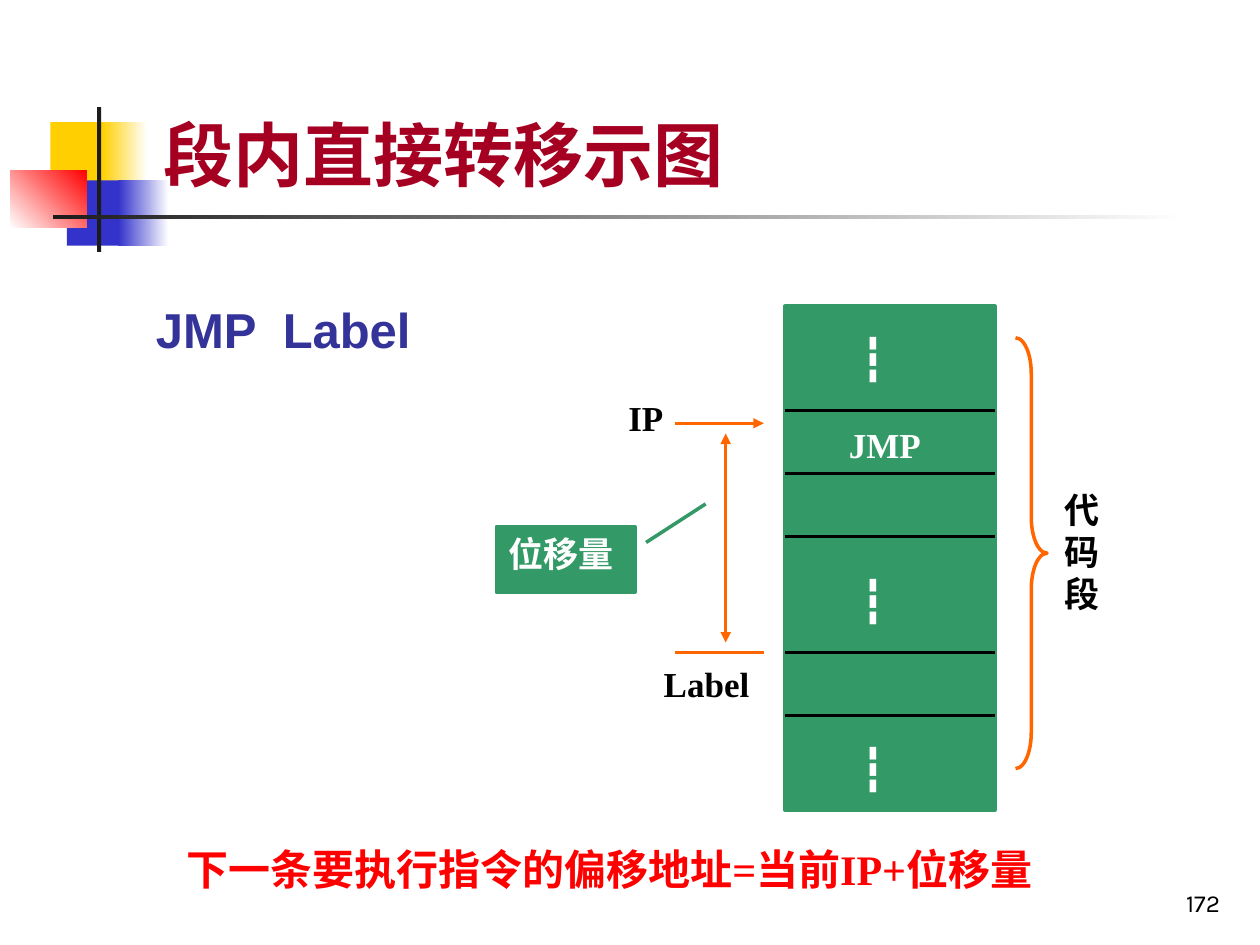
from lxml.etree import SubElement
from pptx import Presentation
from pptx.dml.color import RGBColor
from pptx.enum.shapes import MSO_CONNECTOR, MSO_SHAPE
from pptx.enum.text import MSO_ANCHOR, PP_ALIGN
from pptx.oxml.ns import qn
from pptx.util import Pt

SERIF, CJK = "Times New Roman", "Noto Sans CJK SC"
GREEN, ORANGE, BLACK, WHITE = "339966", "FF6600", "000000", "FFFFFF"
YELLOW, BLUE, RED, DARK = "FFCF01", "3333CC", "FF0000", "1C1C1C"

# left, top, width, height, colours (two make a gradient), angle
ORNAMENTS = [
    (28.8, 69.8, 34.6, 37.4, [YELLOW], 0),
    (58.3, 69.8, 25.9, 37.4, [YELLOW, WHITE], 0),
    (38.2, 103, 33.1, 37.4, [BLUE], 0),
    (67.7, 103, 28.8, 37.4, [BLUE, WHITE], 0),
    (5.8, 97.2, 43.9, 33.1, [WHITE, RED], 45),
    (55.6, 61.2, 2.2, 82.8, [DARK], 0),
    (30.2, 123.1, 648, 2.2, [DARK, WHITE], 0),
]

SEGMENT = (448.5, 175, 120, 288)
ROW_LINES = [234.7, 270.7, 306.7, 373, 409]
ELLIPSIS_TOPS = [186.5, 324.7, 420.5]
IP_Y, LABEL_Y = 241.9, 373
POINTER_LEFT, POINTER_RIGHT = 386, 436.5
OFFSET_X = 414.7

# text, left, top, width, height, size, font, colour
LABELS = [
    ("JMP", 478, 238.3, 84, 31.7, 20, SERIF, WHITE),
    ("Label", 372.2, 375.1, 82, 31.7, 20, SERIF, BLACK),
    ("代码段", 601.2, 275.8, 36.7, 79.2, 20, SERIF, BLACK),
    ("JMP  Label", 82, 167.8, 181.4, 41, 28, "Arial", "333399"),
    ("IP", 352, 223.2, 53.3, 31.7, 20, SERIF, BLACK),
] + [("┇", 484.6, top, 41.8, 36, 24, SERIF, WHITE) for top in ELLIPSIS_TOPS]


def color(hex_string):
    return RGBColor.from_string(hex_string)


def add_shape(kind, box, fill=None, line=None):
    shape = slide.shapes.add_shape(kind, *map(Pt, box))
    shape.shadow.inherit = False
    if fill:
        shape.fill.solid()
        shape.fill.fore_color.rgb = color(fill)
    else:
        shape.fill.background()
    if line:
        shape.line.color.rgb = color(line)
        shape.line.width = Pt(2)
    else:
        shape.line.fill.background()
    return shape


def add_line(start, end, line_color, arrows=()):
    """Draw a straight line; arrows lists its ends, headEnd before tailEnd."""
    points = map(Pt, (*start, *end))
    connector = slide.shapes.add_connector(MSO_CONNECTOR.STRAIGHT, *points)
    connector.line.color.rgb = color(line_color)
    connector.line.width = Pt(2)
    for arrow in arrows:
        SubElement(connector.line._get_or_add_ln(), qn(f"a:{arrow}"), type="triangle")
    SubElement(connector._element.spPr, qn("a:effectLst"))


def write(shape, text, size, font, text_color, bold=True):
    shape.text_frame.word_wrap = True
    paragraph = shape.text_frame.paragraphs[0]
    paragraph.text = text
    paragraph.alignment = PP_ALIGN.LEFT
    paragraph.font.size = Pt(size)
    paragraph.font.bold = bold
    paragraph.font.name = font
    paragraph.font.color.rgb = color(text_color)
    return paragraph


def add_text(text, left, top, width, height, *style, anchor=MSO_ANCHOR.TOP, bold=True):
    box = slide.shapes.add_textbox(*map(Pt, (left, top, width, height)))
    box.text_frame.vertical_anchor = anchor
    return write(box, text, *style, bold=bold)


presentation = Presentation()
presentation.slide_width, presentation.slide_height = Pt(720), Pt(540)
slide = presentation.slides.add_slide(presentation.slide_layouts[6])

for *box, colors, angle in ORNAMENTS:
    ornament = add_shape(MSO_SHAPE.RECTANGLE, box, colors[0])
    if len(colors) == 2:
        ornament.fill.gradient()
        ornament.fill.gradient_angle = angle
        for stop, stop_color in zip(ornament.fill.gradient_stops, colors):
            stop.color.rgb = color(stop_color)

number = add_text("172", 554.4, 491.8, 149.8, 36, 14, "Karla", BLACK,
                  anchor=MSO_ANCHOR.BOTTOM, bold=False)
number.alignment = PP_ALIGN.RIGHT
add_text("段内直接转移示图", 86.4, 0, 613.4, 115.2, 40, CJK, "A50021",
         anchor=MSO_ANCHOR.BOTTOM)

add_shape(MSO_SHAPE.RECTANGLE, SEGMENT, GREEN, GREEN)
segment_left, segment_right = SEGMENT[0], SEGMENT[0] + SEGMENT[2]
for y in ROW_LINES:
    add_line((segment_left, y), (segment_right, y), BLACK)

brace = add_shape(MSO_SHAPE.RIGHT_BRACE, (580.3, 193, 18, 246.2), line=ORANGE)
brace.adjustments[0] = 1.14

add_line((POINTER_LEFT, IP_Y), (POINTER_RIGHT, IP_Y), ORANGE, ["tailEnd"])
add_line((POINTER_LEFT, LABEL_Y), (POINTER_RIGHT, LABEL_Y), ORANGE)
add_line((OFFSET_X, IP_Y + 5.8), (OFFSET_X, LABEL_Y - 5.8), ORANGE, ["headEnd", "tailEnd"])

callout = add_shape(MSO_SHAPE.LINE_CALLOUT_1, (283.7, 301, 79.2, 37.4), GREEN, GREEN)
for index, value in enumerate([0.24, 1.08, -0.35, 1.51]):
    callout.adjustments[index] = value
callout.text_frame.vertical_anchor = MSO_ANCHOR.TOP
write(callout, "位移量", 20, CJK, WHITE)

for label in LABELS:
    add_text(*label)
formula = add_text("下一条要执行指令的偏移地址=当前IP+位移量", 99.4, 483.8, 561.6, 30.2,
                   24, SERIF, RED)
formula.line_spacing = 0.8

presentation.save("out.pptx")
